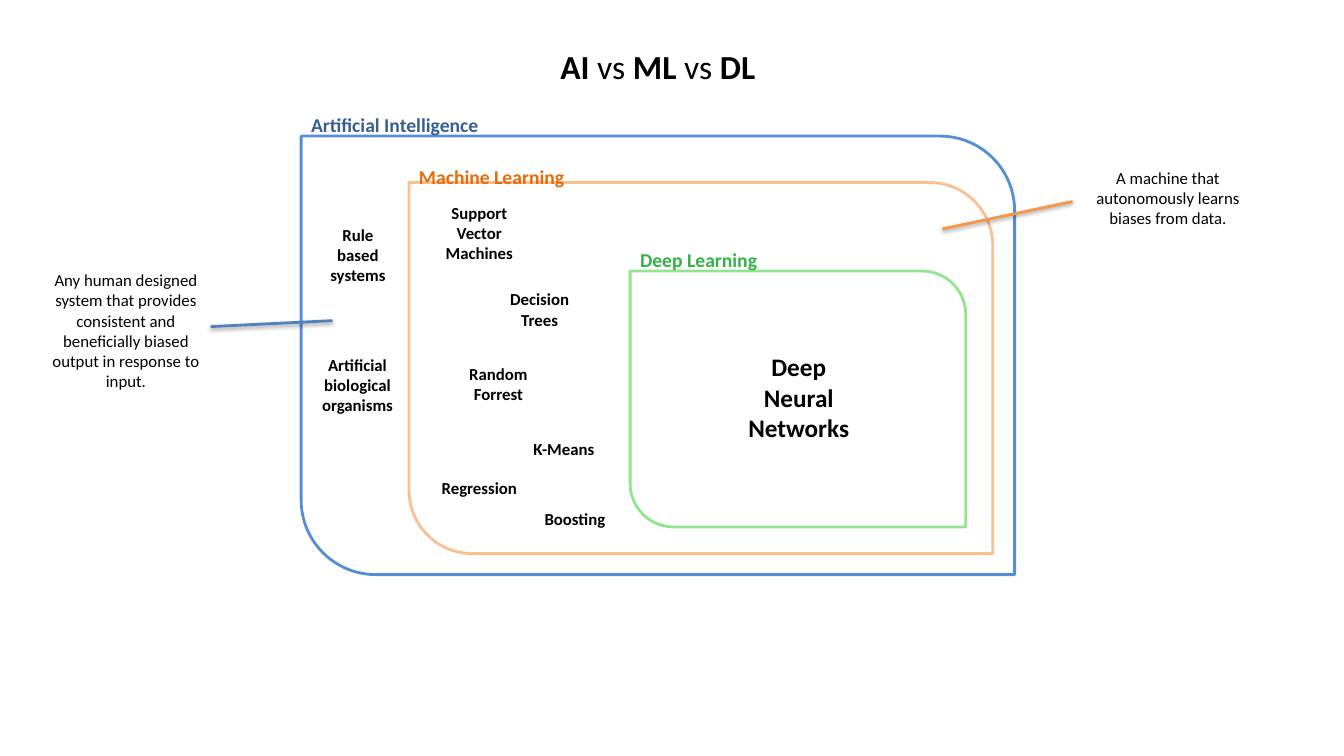
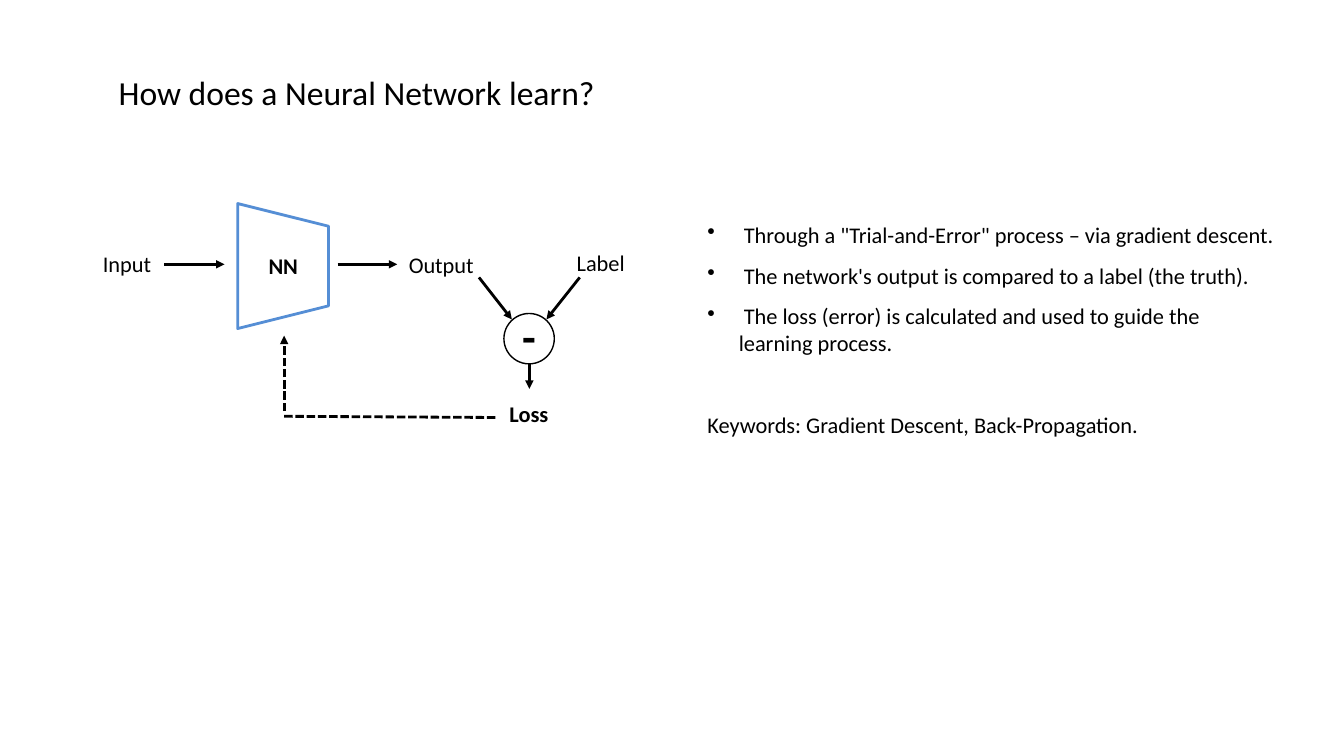
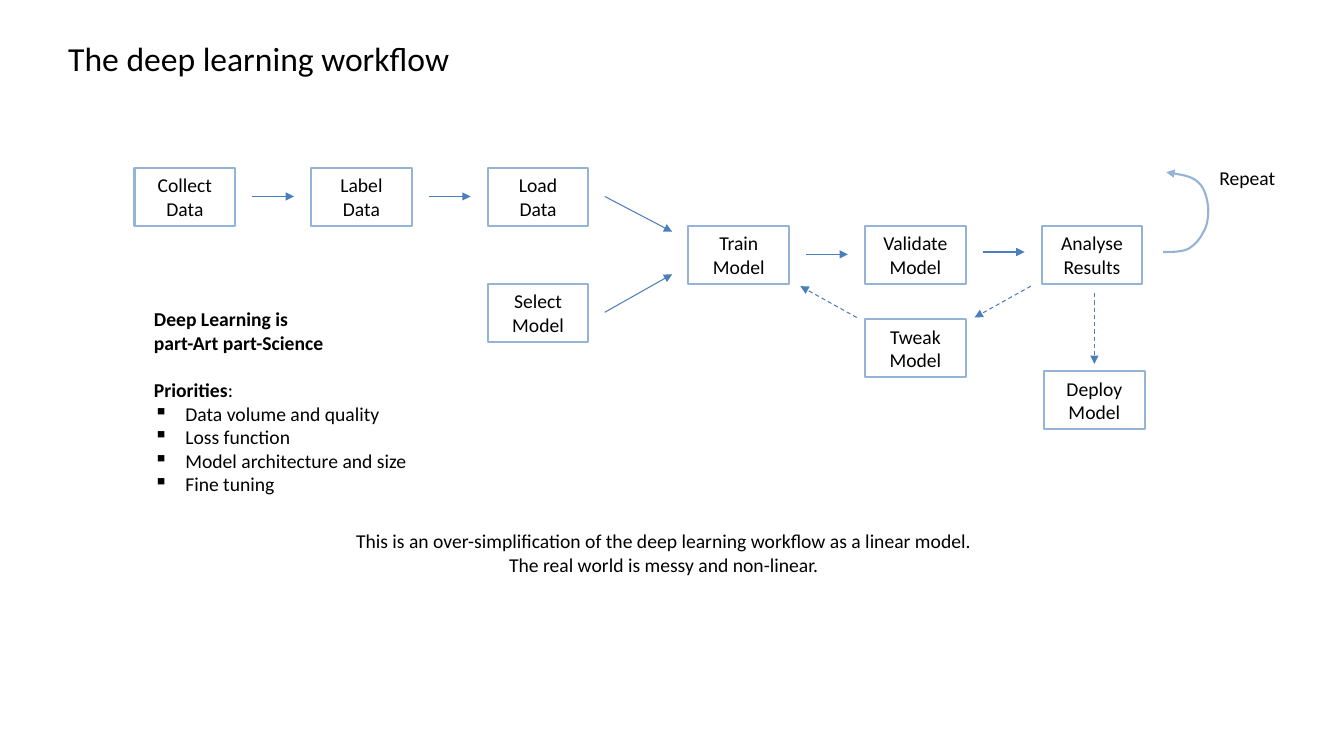
from lxml import etree
from pptx import Presentation
from pptx.dml.color import RGBColor
from pptx.enum import dml, shapes, text
from pptx.oxml import ns
from pptx.util import Cm, Pt

COLORS = {
    "black": "000000", "white": "FFFFFF",
    "ai": "558ED5", "ai_label": "366092", "ai_callout": "4F81BD",
    "ml": "FAC090", "ml_label": "E46C0A", "ml_callout": "F79646",
    "dl": "93E58D", "dl_label": "35B14A",
    "step": "95B3D7", "flow": "4B7EBC",
}
BULLETS = "•▪"
SHAPE = shapes.MSO_SHAPE
DASH = dml.MSO_LINE


def rgb(name):
    return RGBColor.from_string(COLORS[name])


class Deck:
    font = "Calibri"
    title_size = 24
    bullet_indent = Cm(0.79)

    def __init__(self):
        self.deck = Presentation()
        self.deck.slide_width, self.deck.slide_height = Cm(33.87), Cm(19.05)
        self.slide = None

    def new_slide(self, title, left, top, width):
        self.slide = self.deck.slides.add_slide(self.deck.slide_layouts[6])
        self.label(title, left, top, width, 1.27, self.title_size,
                   centred=False, wrap=False)

    def fill_text(self, frame, content, size, color="black", bold=False,
                  centred=True, spacing=None, after=None, gaps=None):
        """Fill a frame: one paragraph a line, a leading bullet sign makes a
        list item, ** switches bold, gaps maps a line's index to points above."""
        for index, line in enumerate(content.split("\n")):
            para = frame.paragraphs[0] if index == 0 else frame.add_paragraph()
            if line[0] in BULLETS:
                props = para._p.get_or_add_pPr()
                props.set("marL", str(self.bullet_indent))
                props.set("indent", str(-self.bullet_indent))
                etree.SubElement(props, ns.qn("a:buChar"), char=line[0])
                line = line[1:]
            para.alignment = text.PP_ALIGN.CENTER if centred else text.PP_ALIGN.LEFT
            if spacing:
                para.line_spacing = spacing
            if after:
                para.space_after = Pt(after)
            if gaps and index in gaps:
                para.space_before = Pt(gaps[index])
            para.font.name, para.font.size = self.font, Pt(size)
            para.font.color.rgb = rgb(color)
            para.font.bold = bold
            for part, piece in enumerate(line.split("**")):
                if piece:
                    run = para.add_run()
                    run.text = piece
                    if part % 2:
                        run.font.bold = True

    def label(self, content, left, top, width, height, size, wrap=True, **style):
        box = self.slide.shapes.add_textbox(Cm(left), Cm(top), Cm(width), Cm(height))
        box.text_frame.word_wrap = wrap
        box.text_frame.auto_size = text.MSO_AUTO_SIZE.SHAPE_TO_FIT_TEXT
        self.fill_text(box.text_frame, content, size, **style)

    def outline(self, kind, left, top, width, height, color, weight, fill=None):
        shape = self.slide.shapes.add_shape(
            kind, Cm(left), Cm(top), Cm(width), Cm(height))
        self.style_outline(shape, color, weight)
        if fill:
            shape.fill.solid()
            shape.fill.fore_color.rgb = rgb(fill)
        return shape

    def style_outline(self, shape, color, weight):
        shape.shadow.inherit = False
        shape.fill.background()
        shape.line.color.rgb = rgb(color)
        shape.line.width = Pt(weight)

    def step(self, content, left, top, width, height):
        box = self.outline(SHAPE.RECTANGLE, left, top, width, height, "step", 1.5)
        box.text_frame.word_wrap = True
        self.fill_text(box.text_frame, content, 14)

    def line(self, start, end, color="black", weight=2, dash=None,
             arrow=True, shadow=False):
        link = self.slide.shapes.add_connector(
            shapes.MSO_CONNECTOR.STRAIGHT, *map(Cm, start + end))
        link.line.color.rgb = rgb(color)
        link.line.width = Pt(weight)
        if dash:
            link.line.dash_style = dash
        if arrow:
            self.arrowhead(link)
        if not shadow:
            etree.SubElement(link._element.spPr, ns.qn("a:effectLst"))

    def arrowhead(self, shape):
        line_props = shape._element.spPr.find(ns.qn("a:ln"))
        etree.SubElement(line_props, ns.qn("a:tailEnd"), type="triangle")

    def curved_arrow(self, start, points, color, weight):
        """Draw cubic curves; points holds two handles and an end for each."""
        builder = self.slide.shapes.build_freeform(*map(Cm, start))
        builder.add_line_segments([(Cm(x), Cm(y)) for x, y in points], close=False)
        shape = builder.convert_to_shape()
        self.style_outline(shape, color, weight)
        outline = shape._element.find(".//" + ns.qn("a:path"))
        for index, straight in enumerate(outline.findall(ns.qn("a:lnTo"))):
            if index % 3 == 0:
                curve = etree.SubElement(outline, ns.qn("a:cubicBezTo"))
            curve.append(straight[0])
            outline.remove(straight)
        self.arrowhead(shape)

    def save(self):
        self.deck.save("out.pptx")


def comparison_slide(deck):
    deck.new_slide("**AI** vs **ML** vs **DL**", 13.87, 1.02, 5.46)
    fields = [
        ("Artificial Intelligence", "ai", 7.59, 3.43, 17.98, 11.05, 2.13),
        ("Machine Learning", "ml", 10.31, 4.6, 14.71, 9.35, 3.43),
        ("Deep Learning", "dl", 15.88, 6.83, 8.46, 6.45, 5.54),
    ]
    for name, color, left, top, width, height, name_top in fields:
        field = deck.outline(SHAPE.ROUND_2_DIAG_RECTANGLE, left, top, width, height,
                             color, 2, fill="white")
        field.adjustments[0], field.adjustments[1] = 0, 0.17
        deck.label(name, left, name_top, 4.83, 1.3, 14, color=color + "_label",
                   bold=True, centred=False, spacing=2.0)

    methods = [
        ("Artificial biological organisms", 7.7, 8.81, 2.62, 1.8),
        ("Rule based systems", 7.85, 5.54, 2.34, 1.8),
        ("Support Vector Machines", 10.77, 4.98, 2.62, 1.8),
        ("Decision Trees", 12.29, 7.16, 2.62, 1.27),
        ("Random Forrest", 11.25, 9.04, 2.62, 1.27),
        ("K-Means", 12.9, 10.92, 2.62, 0.76),
        ("Regression", 10.77, 11.91, 2.62, 0.76),
        ("Boosting", 13.18, 12.7, 2.62, 0.76),
    ]
    for method in methods:
        deck.label(*method, 12, bold=True)
    deck.label("Deep Neural Networks", 18.49, 8.74, 3.28, 2.57, 18, bold=True)

    deck.label("Any human designed system that provides consistent and "
               "beneficially biased output in response to input.",
               1.04, 6.68, 4.27, 3.33, 12)
    deck.label("A machine that autonomously learns biases from data.",
               27.3, 4.09, 4.27, 1.8, 12)
    deck.line((23.75, 5.77), (27.03, 5.08), "ml_callout", arrow=False, shadow=True)
    deck.line((5.31, 8.23), (8.38, 8.08), "ai_callout", arrow=False, shadow=True)


def learning_slide(deck):
    deck.new_slide("How does a Neural Network learn?", 2.74, 1.7, 12.62)
    deck.outline(SHAPE.TRAPEZOID, 5.56, 5.56, 3.15, 2.29, "ai", 2).rotation = 90
    deck.outline(SHAPE.OVAL, 12.7, 7.9, 1.27, 1.27, "black", 1)
    deck.label("-", 12.8, 7.65, 1.07, 1.63, 32, bold=True)
    nodes = [
        ("Input", 1.83, 6.17, False), ("NN", 5.77, 6.22, True),
        ("Output", 9.75, 6.2, False), ("Label", 13.77, 6.15, False),
        ("Loss", 11.96, 9.96, True),
    ]
    for name, left, top, bold in nodes:
        deck.label(name, left, top, 2.74, 0.94, 16, bold=bold)

    for start, end in [
        ((4.14, 6.66), (5.66, 6.66)), ((8.51, 6.66), (10.01, 6.66)),
        ((12.07, 6.99), (12.9, 8.05)), ((14.61, 6.99), (13.77, 8.05)),
        ((13.34, 9.17), (13.34, 9.8)),
    ]:
        deck.line(start, end)
    deck.line((7.16, 10.36), (7.16, 8.46), dash=DASH.SQUARE_DOT)
    deck.line((7.16, 10.49), (12.5, 10.52), dash=DASH.SQUARE_DOT, arrow=False)

    deck.label("• Through a \"Trial-and-Error\" process – via gradient descent.\n"
               "• The network's output is compared to a label (the truth).\n"
               "• The loss (error) is calculated and used to guide the "
               "learning process.\n"
               "Keywords: Gradient Descent, Back-Propagation.",
               17.58, 5.44, 14.81, 5.79, 16, centred=False, after=10, gaps={3: 29.5})


def workflow_slide(deck):
    deck.new_slide("The deep learning workflow", 1.47, 0.84, 10.59)
    width, height, pitch, gap = 2.54, 1.46, 4.45, 0.43
    collect, label, load = (3.39 + pitch * i for i in range(3))
    train, validate, analyse = (17.35 + pitch * i for i in range(3))
    upper, middle, lower = (4.23 + height * i for i in range(3))
    for name, left, top in [
        ("Collect\nData", collect, upper), ("Label\nData", label, upper),
        ("Load\nData", load, upper), ("Select\nModel", load, lower),
        ("Train\nModel", train, middle), ("Validate\nModel", validate, middle),
        ("Analyse Results", analyse, middle), ("Tweak\nModel", validate, 8.05),
        ("Deploy Model", 26.31, 9.35),
    ]:
        deck.step(name, left, top, width, height)

    for left, y in [(collect, 4.95), (label, 4.95), (train, 6.41), (validate, 6.35)]:
        deck.line((left + width + gap, y), (left + pitch - gap, y), "flow", 0.75)
    for start, end, dash in [
        ((15.24, 4.95), (16.94, 5.84), None),
        ((15.24, 7.87), (16.94, 6.91), None),
        ((27.58, 7.39), (27.58, 9.17), DASH.DASH),
        ((21.59, 8), (20.17, 7.21), DASH.DASH),
        ((25.98, 7.21), (24.56, 8), DASH.DASH),
    ]:
        deck.line(start, end, "flow", 0.75, dash)
    deck.curved_arrow((29.31, 6.35), [
        (29.54, 6.35), (29.79, 6.35), (29.95, 6.27),
        (30.12, 6.17), (30.25, 6.02), (30.33, 5.84),
        (30.43, 5.69), (30.45, 5.46), (30.45, 5.26),
        (30.43, 5.05), (30.38, 4.75), (30.2, 4.6),
        (30.05, 4.45), (29.72, 4.39), (29.39, 4.34),
    ], "step", 1.5)
    deck.label("Repeat", 30.48, 4.06, 1.93, 0.86, 14, centred=False, wrap=False)

    deck.label("**Deep Learning is**\n**part-Art part-Science**\n**Priorities**:\n"
               "▪Data volume and quality\n▪Loss function\n"
               "▪Model architecture and size\n▪Fine tuning",
               3.63, 7.62, 7.44, 5.05, 14, centred=False, gaps={2: 17})
    deck.label("This is an over-simplification of the deep learning workflow "
               "as a linear model.\nThe real world is messy and non-linear.",
               8.69, 13.21, 16.08, 1.45, 14, wrap=False)


def main():
    deck = Deck()
    comparison_slide(deck)
    learning_slide(deck)
    workflow_slide(deck)
    deck.save()


if __name__ == "__main__":
    main()
